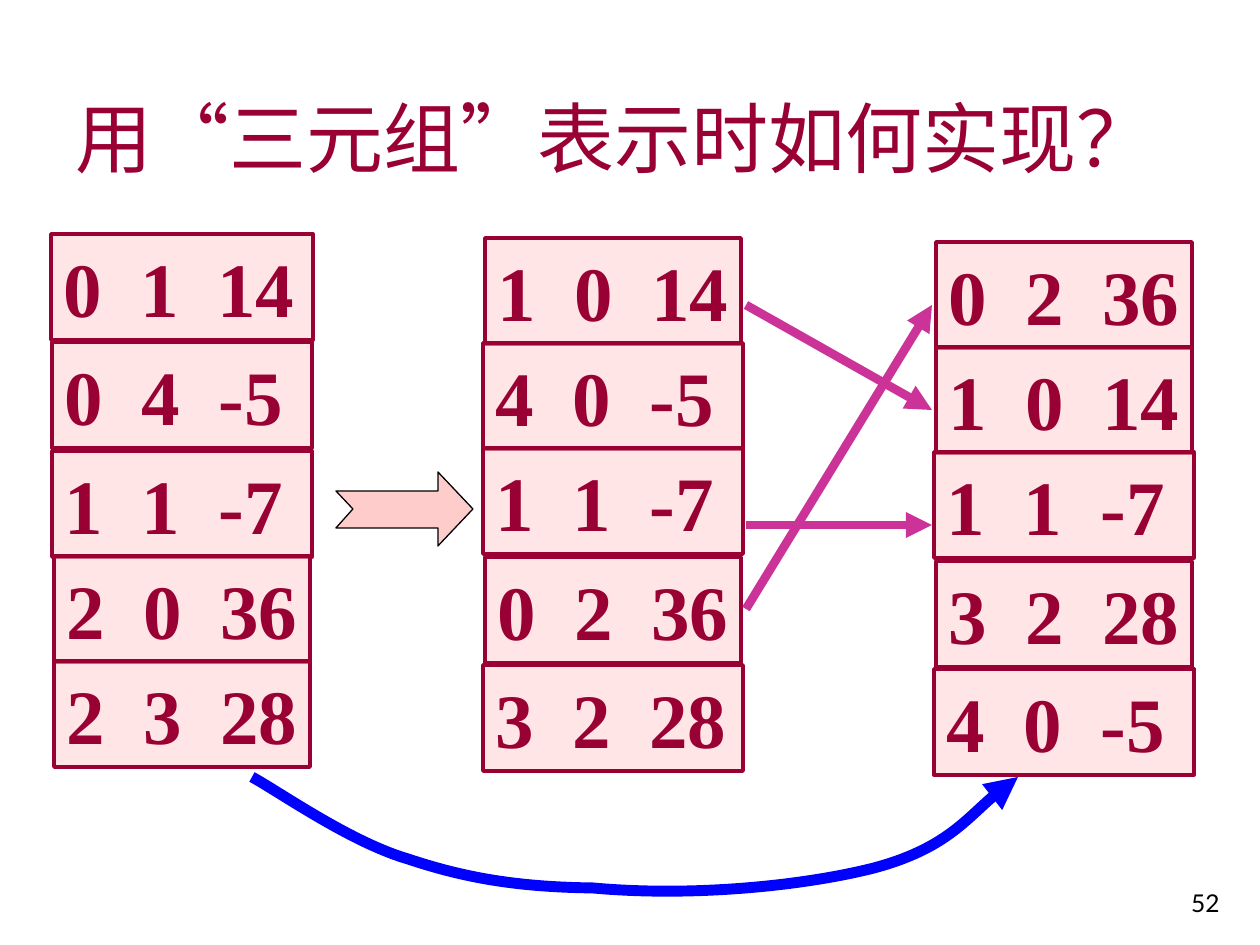
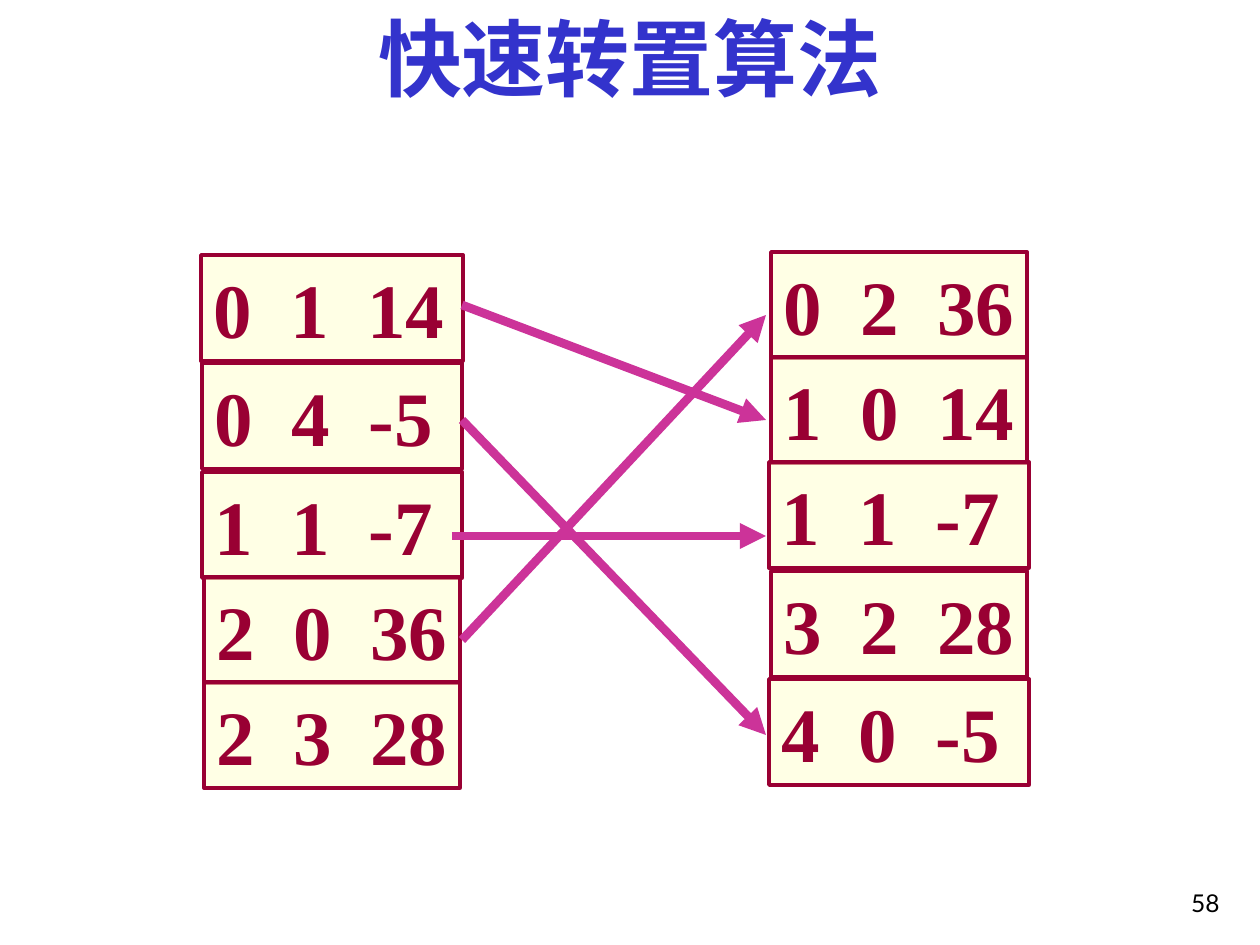
from lxml import etree
from pptx import Presentation
from pptx import util as u
from pptx.dml.color import RGBColor
from pptx.enum import shapes, text
from pptx.oxml.ns import qn

PX = 914400 / 126
SERIF = "Times New Roman"
WINE = RGBColor(0x99, 0x00, 0x33)
PINK = RGBColor(0xFF, 0xCC, 0xCC)
CREAM = RGBColor(0xFF, 0xFF, 0xCC)
MAGENTA = RGBColor(0xCC, 0x33, 0x99)
BLUE = RGBColor(0x00, 0x00, 0xFF)
INDIGO = RGBColor(0x33, 0x33, 0xCC)
BLACK = RGBColor(0x00, 0x00, 0x00)

CELL_HEIGHT = 106
TAB_STEP = 77
# Triples are (row, column, value)
MATRIX = [(0, 1, 14), (0, 4, -5), (1, 1, -7), (2, 0, 36), (2, 3, 28)]
SWAPPED = [(column, row, value) for row, column, value in MATRIX]
TRANSPOSED = sorted(SWAPPED)

# Row offsets and cell widths of each kind of stack
MATRIX_LAYOUT = (0, 108, 217, 322, 427), (262, 260, 260, 256, 256)
SWAPPED_LAYOUT = (0, 105, 210, 319, 427), (256, 260, 260, 256, 260)
TRANSPOSED_LAYOUT = (0, 105, 210, 319, 427), (256, 256, 260, 256, 260)


def emu(*lengths):
    return [u.Emu(round(length * PX)) for length in lengths]


def set_font(para, size, color, bold=False, name=SERIF):
    font = para.font
    font.name, font.size, font.bold = name, u.Pt(size), bold
    font.color.rgb = color


def add_tabs(para, count):
    tabs = etree.SubElement(para._p.get_or_add_pPr(), qn("a:tabLst"))
    for number in range(1, count + 1):
        position = emu(number * TAB_STEP)[0]
        etree.SubElement(tabs, qn("a:tab"), pos=str(position), algn="l")


def add_arrowhead(line_shape):
    line = line_shape._element.xpath(".//a:ln")[0]
    etree.SubElement(line, qn("a:tailEnd"), type="triangle")


def add_title(page, wording, bounds, size, color, align, bold=False):
    title = page.shapes.title
    title.left, title.top, title.width, title.height = emu(*bounds)
    frame = title.text_frame
    frame.text = wording
    frame.auto_size = text.MSO_AUTO_SIZE.NONE
    frame.vertical_anchor = text.MSO_ANCHOR.TOP
    para = frame.paragraphs[0]
    para.alignment = align
    set_font(para, size, color, bold)


def add_page_number(page, number):
    box = page.shapes.add_textbox(*emu(970, 885, 262, 39))
    frame = box.text_frame
    frame.word_wrap = True
    frame.vertical_anchor = text.MSO_ANCHOR.BOTTOM
    para = frame.paragraphs[0]
    para.text = str(number)
    para.alignment = text.PP_ALIGN.RIGHT
    set_font(para, 14, BLACK, name="Lato")


def add_cell(page, triple, bounds, fill):
    cell = page.shapes.add_shape(shapes.MSO_SHAPE.RECTANGLE, *emu(*bounds))
    cell.shadow.inherit = False
    cell.fill.solid()
    cell.fill.fore_color.rgb = fill
    color = cell._element.spPr.find(qn("a:solidFill"))[0]
    etree.SubElement(color, qn("a:alpha"), val="50000")
    cell.line.color.rgb = WINE
    cell.line.width = u.Pt(2)
    frame = cell.text_frame
    frame.word_wrap = True
    frame.vertical_anchor = text.MSO_ANCHOR.TOP
    frame.margin_right = 0
    para = frame.paragraphs[0]
    para.text = "\t".join(map(str, triple))
    para.alignment = text.PP_ALIGN.LEFT
    add_tabs(para, len(triple) - 1)
    set_font(para, 44, WINE, bold=True)


def add_stack(page, triples, layout, center, top, fill):
    for triple, offset, width in zip(triples, *layout):
        bounds = center - width / 2, top + offset, width, CELL_HEIGHT
        add_cell(page, triple, bounds, fill)


def add_arrow(page, start, end):
    arrow = page.shapes.add_connector(
        shapes.MSO_CONNECTOR.STRAIGHT, *emu(*start, *end))
    arrow.line.color.rgb = MAGENTA
    arrow.line.width = u.Pt(5)
    etree.SubElement(arrow._element.spPr, qn("a:effectLst"))
    add_arrowhead(arrow)


def add_outline(page, points, color, width, close):
    builder = page.shapes.build_freeform(*points[0], scale=PX)
    builder.add_line_segments(points[1:], close=close)
    outline = builder.convert_to_shape()
    outline.shadow.inherit = False
    outline.line.color.rgb = color
    outline.line.width = u.Pt(width)
    return outline


def add_notched_arrow(page):
    points = [(336, 491), (438, 491), (438, 472), (473, 509),
              (438, 546), (438, 528), (336, 528), (353, 509)]
    notched = add_outline(page, points, BLACK, 0.75, close=True)
    notched.fill.solid()
    notched.fill.fore_color.rgb = PINK


def add_curved_arrow(page):
    """Draw Bézier segments: each takes two control points and an end."""
    points = [(252, 777),
              (278, 791), (350, 842), (408, 859),
              (465, 878), (517, 887), (593, 888),
              (692, 897), (803, 886), (874, 868),
              (945, 849), (988, 796), (1018, 777)]
    curve = add_outline(page, points, BLUE, 6.25, close=False)
    curve.fill.background()
    segments = curve._element.xpath(".//a:lnTo")
    for first in range(0, len(segments), 3):
        bezier = etree.Element(qn("a:cubicBezTo"))
        segments[first].addprevious(bezier)
        for segment in segments[first:first + 3]:
            bezier.append(segment[0])
            segment.getparent().remove(segment)
    add_arrowhead(curve)


def add_triples_page(deck):
    page = deck.slides.add_slide(deck.slide_layouts[5])
    add_title(page, "用“三元组”表示时如何实现？", (63, 84, 1120, 106),
              44, WINE, text.PP_ALIGN.LEFT)
    add_stack(page, MATRIX, MATRIX_LAYOUT, 182, 234, PINK)
    add_stack(page, SWAPPED, SWAPPED_LAYOUT, 613, 238, PINK)
    add_stack(page, TRANSPOSED, TRANSPOSED_LAYOUT, 1064, 242, PINK)
    for start, end in ((609, 305), (305, 410), (525, 525)):
        add_arrow(page, (746, start), (932, end))
    add_notched_arrow(page)
    add_curved_arrow(page)
    add_page_number(page, 52)


def add_fast_transpose_page(deck):
    page = deck.slides.add_slide(deck.slide_layouts[5])
    add_title(page, "快速转置算法", (0, 0, 1260, 126),
              48, INDIGO, text.PP_ALIGN.CENTER, bold=True)
    add_stack(page, MATRIX, MATRIX_LAYOUT, 332, 255, CREAM)
    add_stack(page, TRANSPOSED, TRANSPOSED_LAYOUT, 899, 252, CREAM)
    for left, start, end in ((462, 640, 315), (462, 305, 420),
                             (452, 536, 536), (462, 420, 735)):
        add_arrow(page, (left, start), (766, end))
    add_page_number(page, 58)


def main():
    deck = Presentation()
    deck.slide_width, deck.slide_height = u.Inches(10), u.Inches(7.5)
    add_triples_page(deck)
    add_fast_transpose_page(deck)
    deck.save("out.pptx")


if __name__ == "__main__":
    main()
